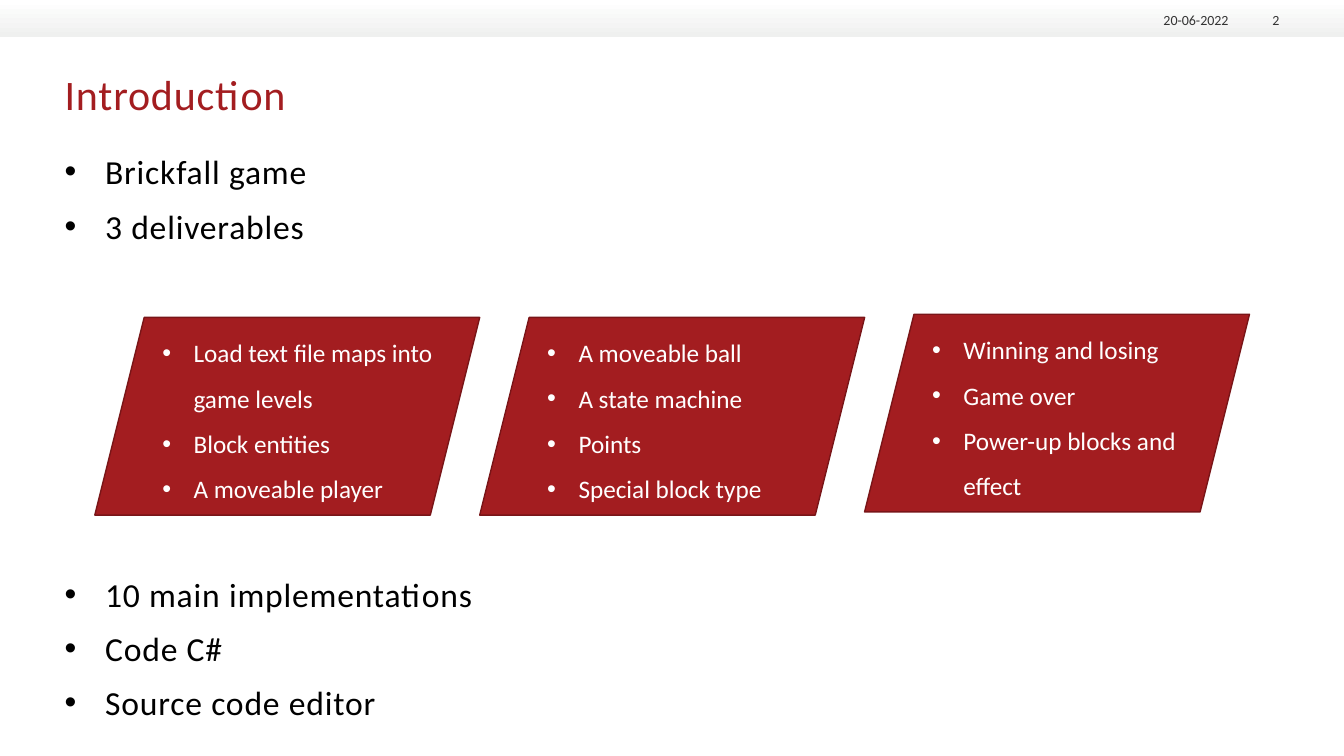
"""Build the introduction slide with its three deliverable panels."""
from dataclasses import dataclass

from lxml.etree import SubElement
from pptx import Presentation
from pptx.dml.color import RGBColor
from pptx.enum.shapes import MSO_SHAPE
from pptx.enum.text import MSO_ANCHOR, PP_ALIGN
from pptx.oxml.ns import qn
from pptx.shapes.autoshape import Shape
from pptx.slide import Slide
from pptx.util import Cm, Pt

FONT = "Calibri"
RED, DARK_RED = "A31D20", "791518"
BLACK, GREY, WHITE = "000000", "333333", "FFFFFF"
PANEL_LEFT, PANEL_WIDTH, PANEL_HEIGHT = 2.39, 9.7, 4.98
TEXT_OFFSET, TEXT_WIDTH, TEXT_HEIGHT = 1.45, 7.32, 4.78


@dataclass(frozen=True)
class TextStyle:
    size: float
    color: str
    tracking: int = 0
    indent: float = 0
    space_before: float = 0
    line_spacing: float = 1
    inset: tuple[float, float] = (0, 0)
    align: PP_ALIGN = PP_ALIGN.LEFT
    anchor: MSO_ANCHOR = MSO_ANCHOR.TOP


@dataclass(frozen=True)
class TextBlock:
    left: float
    top: float
    width: float
    height: float
    lines: tuple[str, ...]
    style: TextStyle


@dataclass(frozen=True)
class Panel:
    top: float
    lines: tuple[str, ...]


TITLE = TextStyle(30, RED, tracking=60)
BODY = TextStyle(24, BLACK, tracking=60, indent=1.02, space_before=10)
PANEL_TEXT = TextStyle(18, WHITE, indent=0.79, line_spacing=1.5, inset=(0.25, 0.13))
HEADER = TextStyle(10, GREY, align=PP_ALIGN.RIGHT, anchor=MSO_ANCHOR.BOTTOM)

BLOCKS = (
    TextBlock(1.63, 1.73, 30.58, 2.41, ("Introduction",), TITLE),
    TextBlock(1.63, 3.81, 7.9, 2.72, ("Brickfall game", "3 deliverables"), BODY),
    TextBlock(1.63, 14.45, 12.24, 3.66,
              ("10 main implementations", "Code C#", "Source code editor"), BODY),
    TextBlock(28.7, 0.23, 2.26, 0.48, ("20-06-2022",), HEADER),
    TextBlock(31.17, 0.23, 1.07, 0.48, ("2",), HEADER),
)
PANELS = (
    Panel(8, ("Load text file maps into game levels", "Block entities", "A moveable player")),
    Panel(8, ("A moveable ball", "A state machine", "Points", "Special block type")),
    Panel(7.92, ("Winning and losing", "Game over", "Power-up blocks and effect")),
)


def rgb(value: str) -> RGBColor:
    """Turn a hex string into a colour."""
    return RGBColor.from_string(value)


def add_text(page: Slide, block: TextBlock) -> None:
    """Add a text box with one paragraph for each line."""
    style = block.style
    box = page.shapes.add_textbox(Cm(block.left), Cm(block.top), Cm(block.width), Cm(block.height))
    frame = box.text_frame
    frame.word_wrap = True
    frame.vertical_anchor = style.anchor
    frame.margin_left = frame.margin_right = Cm(style.inset[0])
    frame.margin_top = frame.margin_bottom = Cm(style.inset[1])
    for index, line in enumerate(block.lines):
        para = frame.add_paragraph() if index else frame.paragraphs[0]
        if style.indent:
            properties = para._p.get_or_add_pPr()
            properties.set("marL", str(Cm(style.indent)))
            properties.set("indent", str(-Cm(style.indent)))
            SubElement(properties, qn("a:buFont"), typeface="Arial")
            SubElement(properties, qn("a:buChar"), char="•")
        para.alignment = style.align
        para.line_spacing = style.line_spacing
        para.space_before = Pt(style.space_before if index else 0)
        span = para.add_run()
        span.text = line
        span.font.name = FONT
        span.font.size = Pt(style.size)
        span.font.color.rgb = rgb(style.color)
        if style.tracking:
            span._r.get_or_add_rPr().set("spc", str(style.tracking))


def add_shape(page: Slide, kind: MSO_SHAPE, left: float, top: float,
              width: float, height: float) -> Shape:
    """Add a preset shape without a shadow."""
    shape = page.shapes.add_shape(kind, Cm(left), Cm(top), Cm(width), Cm(height))
    shape.shadow.inherit = False
    return shape


def add_header_band(page: Slide) -> None:
    """Add the pale gradient band along the top edge."""
    band = add_shape(page, MSO_SHAPE.RECTANGLE, 0, 0, 33.87, 0.93)
    band.line.fill.background()
    band.fill.gradient()
    band.fill.gradient_angle = 270
    for stop, color in zip(band.fill.gradient_stops, (WHITE, "EFF0EF")):
        stop.color.rgb = rgb(color)
    band.fill.gradient_stops[0].position = 0
    band.fill.gradient_stops[1].position = 1


def add_panel(page: Slide, index: int, panel: Panel) -> None:
    """Add a red parallelogram and its bullet list."""
    left = PANEL_LEFT + index * PANEL_WIDTH
    shape = add_shape(page, MSO_SHAPE.PARALLELOGRAM, left, panel.top, PANEL_WIDTH, PANEL_HEIGHT)
    shape.fill.solid()
    shape.fill.fore_color.rgb = rgb(RED)
    shape.line.color.rgb = rgb(DARK_RED)
    shape.line.width = Pt(1)
    add_text(page, TextBlock(left + TEXT_OFFSET, panel.top, TEXT_WIDTH, TEXT_HEIGHT,
                             panel.lines, PANEL_TEXT))


def main() -> None:
    """Create the deck and save it."""
    deck = Presentation()
    deck.slide_width, deck.slide_height = Cm(33.87), Cm(19.05)
    page = deck.slides.add_slide(deck.slide_layouts[6])
    add_header_band(page)
    for block in BLOCKS:
        add_text(page, block)
    for index, panel in enumerate(PANELS):
        add_panel(page, index, panel)
    deck.save("out.pptx")


if __name__ == "__main__":
    main()
